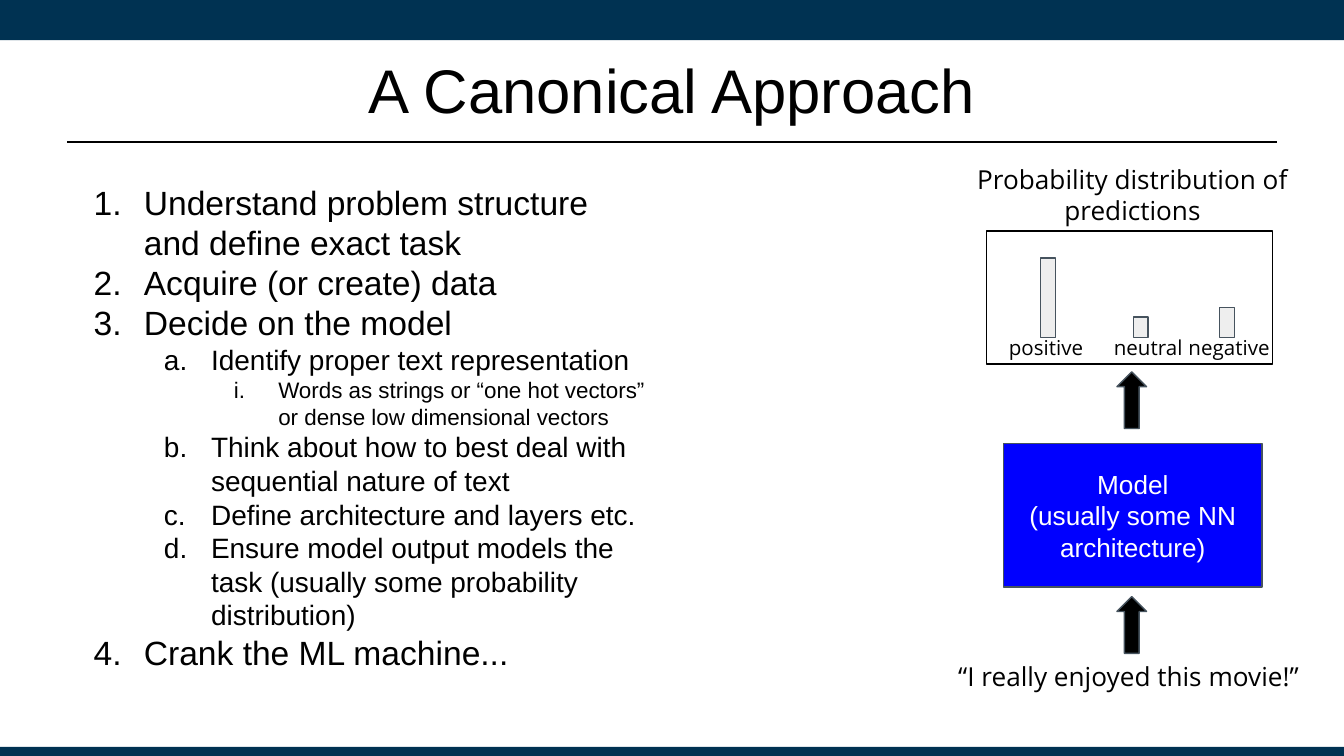
"""Build the slide on a canonical approach to a text modelling task."""
import lxml.etree
import pptx
import pptx.dml.color
import pptx.enum.shapes
import pptx.enum.text
import pptx.oxml.ns
import pptx.util

Cm = pptx.util.Cm
Pt = pptx.util.Pt
RGBColor = pptx.dml.color.RGBColor
SHAPE = pptx.enum.shapes.MSO_SHAPE
ALIGN = pptx.enum.text.PP_ALIGN
ANCHOR = pptx.enum.text.MSO_ANCHOR
qn = pptx.oxml.ns.qn

NAVY = RGBColor(0x00, 0x32, 0x52)
BLACK = RGBColor(0x00, 0x00, 0x00)
WHITE = RGBColor(0xFF, 0xFF, 0xFF)
BLUE = RGBColor(0x00, 0x00, 0xFF)
PALE = RGBColor(0xEE, 0xEE, 0xEE)
SLATE = RGBColor(0x46, 0x53, 0x5E)

WIDTH, HEIGHT = 25.4, 14.29
TITLE = "A Canonical Approach"
STEPS = [
    (0, "Understand problem structure and define exact task"),
    (0, "Acquire (or create) data"),
    (0, "Decide on the model"),
    (1, "Identify proper text representation"),
    (2, "Words as strings or “one hot vectors” or dense low dimensional vectors"),
    (1, "Think about how to best deal with sequential nature of text"),
    (1, "Define architecture and layers etc."),
    (1, "Ensure model output models the task (usually some probability distribution)"),
    (0, "Crank the ML machine..."),
]
LEVELS = [
    {"numbering": "arabicPeriod", "size": 18, "hanging": 0.95},
    {"numbering": "alphaLcPeriod", "size": 15, "hanging": 0.89},
    {"numbering": "romanLcPeriod", "size": 12, "hanging": 0.84},
]
LEVEL_INDENT = 1.27
CHART_TITLE = "Probability distribution of predictions"
BARS = [("positive", 19.77, 19.81, 1.5), ("neutral", 21.7, 21.56, 0.39), ("negative", 23.23, 23.19, 0.57)]
BAR_WIDTH, BAR_BASE, LABEL_WIDTH = 0.28, 6.38, 2.4
MODEL = ["Model", "(usually some NN architecture)"]
INPUT = "“I really enjoyed this movie!”"
FLOW_CENTRE = 21.39
ARROW_WIDTH, ARROW_HEIGHT = 0.56, 1.07
ARROW_TOPS = [7.03, 11.28]


def write(shape, lines, size=14, font="Arial", color=BLACK, align=ALIGN.LEFT,
          anchor=ANCHOR.TOP, insets=(0.25, 0.25), levels=None):
    """Fill a shape with paragraphs, numbered when levels are given."""
    frame = shape.text_frame
    frame.word_wrap = True
    frame.vertical_anchor = anchor
    frame.margin_left = frame.margin_right = Cm(insets[0])
    frame.margin_top = frame.margin_bottom = Cm(insets[1])
    for index, line in enumerate(lines):
        paragraph = frame.paragraphs[0] if index == 0 else frame.add_paragraph()
        paragraph.text = line
        paragraph.alignment = align
        paragraph.space_before = Pt(0)
        if levels:
            level = LEVELS[levels[index]]
            paragraph.level = levels[index]
            properties = paragraph._p.get_or_add_pPr()
            properties.set("marL", str(Cm(LEVEL_INDENT * (levels[index] + 1))))
            properties.set("indent", str(-Cm(level["hanging"])))
            bullet = lxml.etree.SubElement(properties, qn("a:buAutoNum"))
            bullet.set("type", level["numbering"])
        paragraph.font.size = Pt(level["size"] if levels else size)
        paragraph.font.name = font
        paragraph.font.color.rgb = color


def add_text(slide, left, top, width, height, lines, **text_format):
    """Add a text box."""
    box = slide.shapes.add_textbox(Cm(left), Cm(top), Cm(width), Cm(height))
    write(box, lines, **text_format)


def add_block(slide, kind, left, top, width, height, fill=None, line=None):
    """Add a plain preset shape."""
    shape = slide.shapes.add_shape(kind, Cm(left), Cm(top), Cm(width), Cm(height))
    shape.shadow.inherit = False
    if fill is None:
        shape.fill.background()
    else:
        shape.fill.solid()
        shape.fill.fore_color.rgb = fill
    if line is None:
        shape.line.fill.background()
    else:
        shape.line.color.rgb = line
        shape.line.width = Pt(0.75)
    return shape


def add_header(slide):
    """Add the bands, the title and its rule."""
    add_block(slide, SHAPE.RECTANGLE, 0, 0, WIDTH, 0.76, NAVY)
    add_block(slide, SHAPE.RECTANGLE, 0, 14.12, WIDTH, HEIGHT - 14.12, NAVY)
    rule = slide.shapes.add_connector(
        pptx.enum.shapes.MSO_CONNECTOR.STRAIGHT, Cm(1.27), Cm(2.69), Cm(WIDTH - 1.27), Cm(2.69))
    rule.line.color.rgb = BLACK
    rule.line.width = Pt(1.25)
    lxml.etree.SubElement(rule._element.spPr, qn("a:effectLst"))
    add_text(slide, 1.27, 0.48, WIDTH - 2.54, 2.39, [TITLE], size=33,
             align=ALIGN.CENTER, anchor=ANCHOR.MIDDLE, insets=(0.18, 0.1))


def add_flow(slide):
    """Add the path from the input through the model to the predictions."""
    for label, label_centre, bar_centre, height in BARS:
        add_block(slide, SHAPE.RECTANGLE, bar_centre - BAR_WIDTH / 2, BAR_BASE - height,
                  BAR_WIDTH, height, PALE, SLATE)
        add_text(slide, label_centre - LABEL_WIDTH / 2, 6.1, LABEL_WIDTH, 0.56, [label],
                 size=11, font="Open Sans", align=ALIGN.CENTER)
    add_text(slide, 17.86, 2.84, 7.09, 1.5, [CHART_TITLE], font="Open Sans", align=ALIGN.CENTER)
    add_block(slide, SHAPE.RECTANGLE, 18.64, 4.37, 5.41, 2.51, line=BLACK)
    model = add_block(slide, SHAPE.RECTANGLE, 18.97, 8.38, 4.88, 2.72, BLUE, SLATE)
    write(model, MODEL, color=WHITE, align=ALIGN.CENTER, anchor=ANCHOR.MIDDLE)
    for top in ARROW_TOPS:
        add_block(slide, SHAPE.UP_ARROW, FLOW_CENTRE - ARROW_WIDTH / 2, top,
                  ARROW_WIDTH, ARROW_HEIGHT, BLACK, SLATE)
    add_text(slide, 17.86, 12.24, 7.09, 0.99, [INPUT], font="Open Sans")


def main():
    """Build and save the presentation."""
    presentation = pptx.Presentation()
    presentation.slide_width, presentation.slide_height = Cm(WIDTH), Cm(HEIGHT)
    slide = presentation.slides.add_slide(presentation.slide_layouts[6])
    add_header(slide)
    add_text(slide, 1.27, 3.33, 11.23, 9.42, [text for _, text in STEPS],
             insets=(0.18, 0.1), levels=[level for level, _ in STEPS])
    add_flow(slide)
    presentation.save("out.pptx")


if __name__ == "__main__":
    main()
